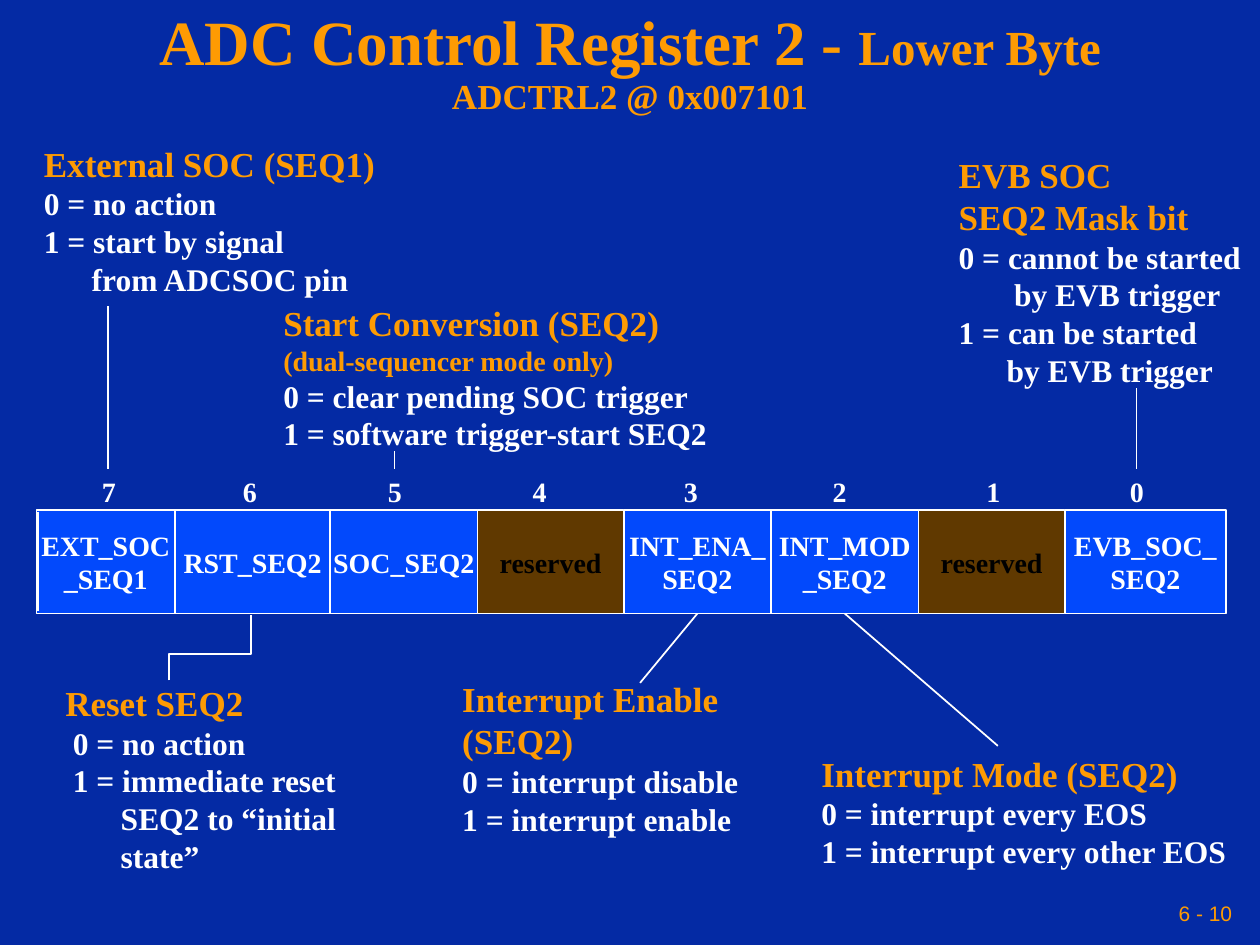
from pptx import Presentation
from pptx.dml.color import RGBColor
from pptx.enum.shapes import MSO_CONNECTOR, MSO_SHAPE
from pptx.enum.text import MSO_ANCHOR, PP_ALIGN
from pptx.oxml.ns import qn
from pptx.util import Inches, Pt
from lxml.etree import SubElement

SERIF = "Times New Roman"
ORANGE, WHITE, BLACK = "FE9B03", "FFFFFF", "000000"
BLUE, BROWN, NAVY = "0249FC", "603900", "042AA4"
TOP, BASE = 4.05, 4.87


def rgb(code):
    return RGBColor.from_string(code)


def style(para, size, color, align=PP_ALIGN.LEFT, name=SERIF, bold=True):
    para.alignment = align
    font = para.font
    font.name, font.size, font.bold = name, Pt(size), bold
    font.color.rgb = rgb(color)


prs = Presentation()
prs.slide_width, prs.slide_height = Inches(10), Inches(7.5)
slide = prs.slides.add_slide(prs.slide_layouts[5])
slide.background.fill.solid()
slide.background.fill.fore_color.rgb = rgb(NAVY)
shapes = slide.shapes

# Title with its smaller second line
title = shapes.title
title.left, title.top = Inches(0), Inches(0.17)
title.width, title.height = Inches(10), Inches(0.67)
frame = title.text_frame
frame.vertical_anchor = MSO_ANCHOR.MIDDLE
head = frame.paragraphs[0]
head.line_spacing = 0.9
style(head, 36, ORANGE, PP_ALIGN.CENTER)
head.add_run().text = "ADC Control Register 2 - "
byte = head.add_run()
byte.text, byte.font.size = "Lower Byte", Pt(28)
head.add_line_break()
addr = head.add_run()
addr.text, addr.font.size = "ADCTRL2 @ 0x007101", Pt(20)

# Register fields: bit, left edge, centre of the bit number, name
fields = [
    (7, 0.29, 0.86, "EXT_SOC\n_SEQ1"),
    (6, 1.39, 1.98, "RST_SEQ2"),
    (5, 2.62, 3.13, "SOC_SEQ2"),
    (4, 3.79, 4.28, "reserved"),
    (3, 4.95, 5.48, "INT_ENA_\nSEQ2"),
    (2, 6.12, 6.66, "INT_MOD\n_SEQ2"),
    (1, 7.29, 7.88, "reserved"),
    (0, 8.45, 9.02, "EVB_SOC_\nSEQ2"),
]
ends = [field[1] for field in fields[1:]] + [9.73]
cells, marks = {}, {}
for (bit, left, mid, name), end in zip(fields, ends):
    spare = name == "reserved"
    cell = shapes.add_shape(MSO_SHAPE.RECTANGLE, Inches(left), Inches(TOP),
                            Inches(end - left), Inches(BASE - TOP))
    cell.shadow.inherit = False
    cell.fill.solid()
    cell.fill.fore_color.rgb = rgb(BROWN if spare else BLUE)
    cell.line.color.rgb = rgb(WHITE)
    cell.line.width = Pt(1)
    frame = cell.text_frame
    frame.text = name
    frame.word_wrap = False
    frame.margin_left = frame.margin_right = 0
    frame.vertical_anchor = MSO_ANCHOR.MIDDLE
    for para in frame.paragraphs:
        style(para, 16, BLACK if spare else WHITE, PP_ALIGN.CENTER)
    cells[bit] = cell

    mark = shapes.add_textbox(Inches(mid - 0.15), Inches(3.72), Inches(0.3), Inches(0.36))
    mark.text_frame.text = str(bit)
    mark.text_frame.word_wrap = False
    style(mark.text_frame.paragraphs[0], 16, WHITE, PP_ALIGN.CENTER)
    marks[bit] = mark

# Notes: left, top, width, height, lines of (text, size, colour, indent)
notes = [
    (0.25, 1.08, 2.83, 1.33, [
        ("External SOC (SEQ1)", 20, ORANGE, 0), ("0 = no action", 18, WHITE, 0),
        ("1 = start by signal", 18, WHITE, 0), ("from ADCSOC pin", 18, WHITE, 0.38)]),
    (2.15, 2.34, 3.58, 1.3, [
        ("Start Conversion (SEQ2)", 20, ORANGE, 0),
        ("(dual-sequencer mode only)", 16, ORANGE, 0),
        ("0 = clear pending SOC trigger", 18, WHITE, 0),
        ("1 = software trigger-start SEQ2", 18, WHITE, 0)]),
    (7.51, 1.17, 2.49, 1.96, [
        ("EVB SOC", 20, ORANGE, 0), ("SEQ2 Mask bit", 20, ORANGE, 0),
        ("0 = cannot be started", 18, WHITE, 0), ("by EVB trigger", 18, WHITE, 0.44),
        ("1 = can be started", 18, WHITE, 0), ("by EVB trigger", 18, WHITE, 0.38)]),
    (0.42, 5.36, 3.03, 1.33, [
        ("Reset SEQ2", 20, ORANGE, 0), ("0 = no action", 18, WHITE, 0.06),
        ("1 = immediate reset", 18, WHITE, 0.06),
        ("SEQ2 to “initial state”", 18, WHITE, 0.44)]),
    (3.57, 5.33, 3.18, 1.03, [
        ("Interrupt Enable (SEQ2)", 20, ORANGE, 0),
        ("0 = interrupt disable", 18, WHITE, 0), ("1 = interrupt enable", 18, WHITE, 0)]),
    (6.42, 5.92, 3.42, 1.03, [
        ("Interrupt Mode (SEQ2)", 20, ORANGE, 0),
        ("0 = interrupt every EOS", 18, WHITE, 0),
        ("1 = interrupt every other EOS", 18, WHITE, 0)]),
]
for left, top, width, height, lines in notes:
    box = shapes.add_textbox(Inches(left), Inches(top), Inches(width), Inches(height))
    frame = box.text_frame
    frame.word_wrap = False
    frame.text = "\n".join(line[0] for line in lines)
    for para, (text, size, color, indent) in zip(frame.paragraphs, lines):
        para._p.get_or_add_pPr().set("marL", str(Inches(indent)))
        style(para, size, color)

# Leaders from bit numbers and fields to their notes, and the left rule
leads = [
    (0.86, 3.72, 0.86, 2.43, marks[7], 0),
    (3.13, 3.72, 3.13, 3.58, marks[5], 0),
    (9.02, 3.72, 9.02, 3.08, marks[0], 0),
    (5.54, BASE, 5.08, 5.42, cells[3], 2),
    (6.71, BASE, 7.92, 5.92, cells[2], 2),
    (0.3, 4.06, 0.3, 4.85, None, None),
]
for x1, y1, x2, y2, owner, side in leads:
    lead = shapes.add_connector(MSO_CONNECTOR.STRAIGHT, Inches(x1), Inches(y1),
                                Inches(x2), Inches(y2))
    if owner is not None:
        lead.begin_connect(owner, side)
    lead.line.color.rgb = rgb(WHITE)
    lead.line.width = Pt(1)
    SubElement(lead._element.spPr, qn("a:effectLst"))

# Stepped leader of the reset field
pen = shapes.build_freeform(Inches(1.34), Inches(5.4))
pen.add_line_segments([(Inches(x), Inches(y)) for x, y in
                       [(1.34, 5.19), (1.99, 5.19), (1.99, 4.88)]], close=False)
step = pen.convert_to_shape()
step.shadow.inherit = False
step.fill.background()
step.line.color.rgb = rgb(WHITE)
step.line.width = Pt(1)

# Page number
page = shapes.add_textbox(Inches(6.83), Inches(7.08), Inches(3), Inches(0.33))
frame = page.text_frame
frame.word_wrap = True
frame.margin_left = frame.margin_right = Inches(0.05)
frame.vertical_anchor = MSO_ANCHOR.MIDDLE
frame.text = "6 - 10"
style(frame.paragraphs[0], 12, ORANGE, PP_ALIGN.RIGHT, "Arial", False)

prs.save("out.pptx")
